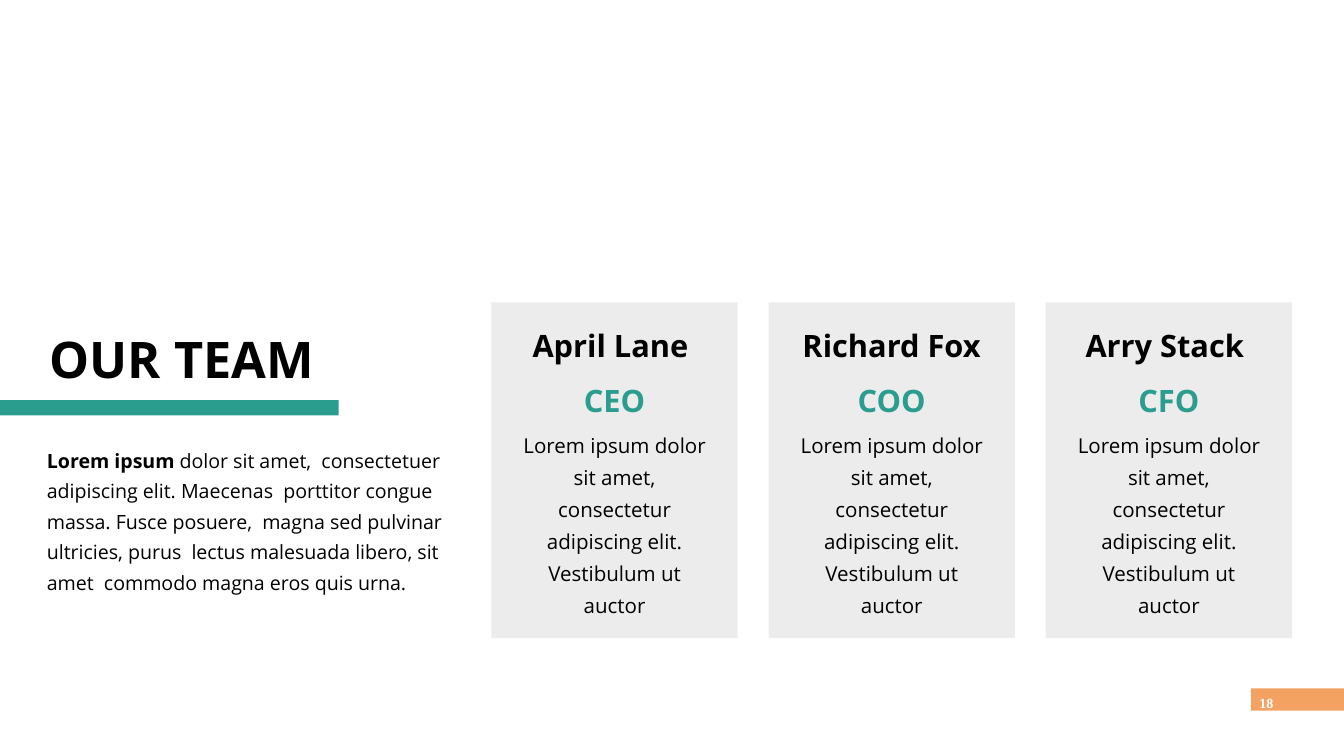
from pptx import Presentation
from pptx.dml.color import RGBColor
from pptx.enum.shapes import MSO_SHAPE as Shape
from pptx.enum.text import MSO_ANCHOR as Anchor, PP_ALIGN as Align
from pptx.util import Inches, Pt

WIDTH, HEIGHT = 26.67, 15
BLACK, WHITE, TEAL, ORANGE, GREY = "000000", "FFFFFF", "2A9D8F", "F4A261", "ECECEC"
FONT, NUMBER_FONT = "Open Sans", "Times New Roman"

TITLE = "OUR TEAM"
INTRO = [
    ("Lorem ipsum ", True),
    ("dolor sit amet,  consectetuer adipiscing elit. Maecenas  porttitor congue massa. "
     "Fusce posuere,  magna sed pulvinar ultricies, purus  lectus malesuada libero, "
     "sit amet  commodo magna eros quis urna.", False),
]
BIO = "Lorem ipsum dolor sit amet, consectetur adipiscing elit. Vestibulum ut auctor"
TEAM = [("April Lane ", "CEO"), ("Richard Fox", "COO"), ("Arry Stack ", "CFO")]
PAGE_NUMBER = "18"

CARD_LEFT, CARD_TOP, CARD_WIDTH, CARD_HEIGHT, CARD_PITCH = 9.75, 6, 4.89, 6.66, 5.5


def color(value):
    return RGBColor.from_string(value)


def add_bar(slide, box, fill):
    shape = slide.shapes.add_shape(Shape.RECTANGLE, *map(Inches, box))
    shape.shadow.inherit = False
    shape.fill.solid()
    shape.fill.fore_color.rgb = color(fill)
    shape.line.fill.background()
    return shape


def set_frame(shape, margins):
    frame = shape.text_frame
    frame.word_wrap = True
    frame.vertical_anchor = Anchor.TOP
    (frame.margin_left, frame.margin_top,
     frame.margin_right, frame.margin_bottom) = map(Inches, margins)
    return frame


def add_text(slide, box, margins):
    return set_frame(slide.shapes.add_textbox(*map(Inches, box)), margins)


def add_run(paragraph, text, size, bold, fill=BLACK, font=FONT):
    run = paragraph.add_run()
    run.text = text
    run.font.name = font
    run.font.size = Pt(size)
    run.font.bold = bold
    run.font.color.rgb = color(fill)


def add_card(slide, column, name, role):
    left = CARD_LEFT + column * CARD_PITCH
    card = add_bar(slide, (left, CARD_TOP, CARD_WIDTH, CARD_HEIGHT), GREY)
    frame = set_frame(card, (0.53, 0.27, 0.53, 0.27))
    lines = [(name, 44, True, BLACK), (role, 44, True, TEAL), (BIO, 29.3, False, BLACK)]
    for index, line in enumerate(lines):
        paragraph = frame.add_paragraph() if index else frame.paragraphs[0]
        paragraph.alignment = Align.CENTER
        paragraph.line_spacing = 1.3
        paragraph.space_before = Pt(10 if index else 0)
        add_run(paragraph, *line)


def main():
    presentation = Presentation()
    presentation.slide_width, presentation.slide_height = Inches(WIDTH), Inches(HEIGHT)
    slide = presentation.slides.add_slide(presentation.slide_layouts[6])

    add_bar(slide, (WIDTH - 1.84, 13.66, 1.84, 0.44), ORANGE)
    number = add_text(slide, (24.99, 13.72, 0.45, 0.34), (0, 0, 0, 0)).paragraphs[0]
    number.line_spacing = 1.2
    add_run(number, PAGE_NUMBER, 20, True, WHITE, NUMBER_FONT)

    add_bar(slide, (0, 7.94, 6.72, 0.3), TEAL)
    title = add_text(slide, (0.89, 6.47, 8.9, 1.97), (0.1, 0.05, 0.1, 0.05))
    add_run(title.paragraphs[0], TITLE, 72, True)

    for column, (name, role) in enumerate(TEAM):
        add_card(slide, column, name, role)

    intro = add_text(slide, (0.93, 8.68, 8.5, 3.17), (0, 0.08, 0.47, 0.08)).paragraphs[0]
    intro.line_spacing = 1.3
    for text, bold in INTRO:
        add_run(intro, text, 28, bold)

    presentation.save("out.pptx")


if __name__ == "__main__":
    main()
